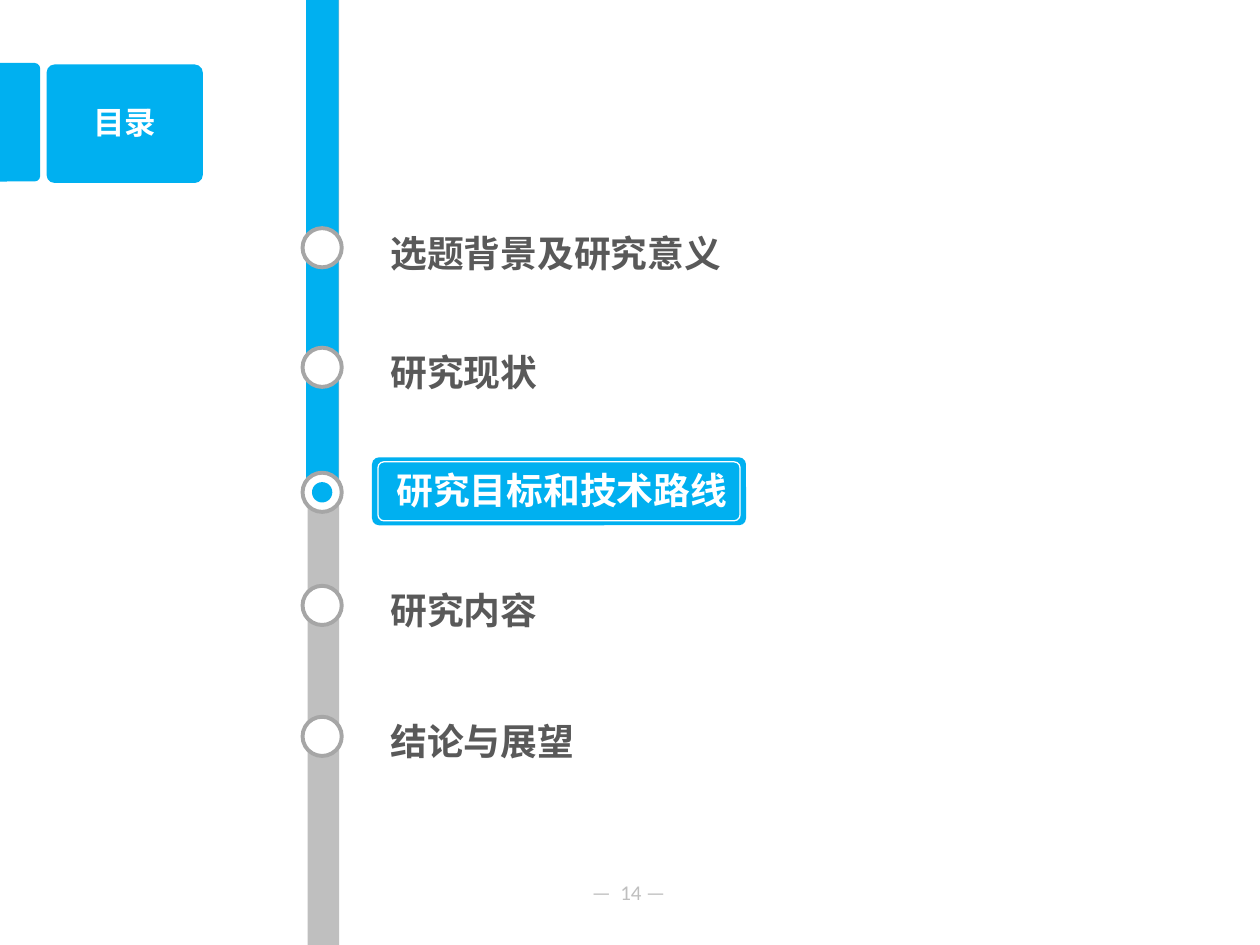
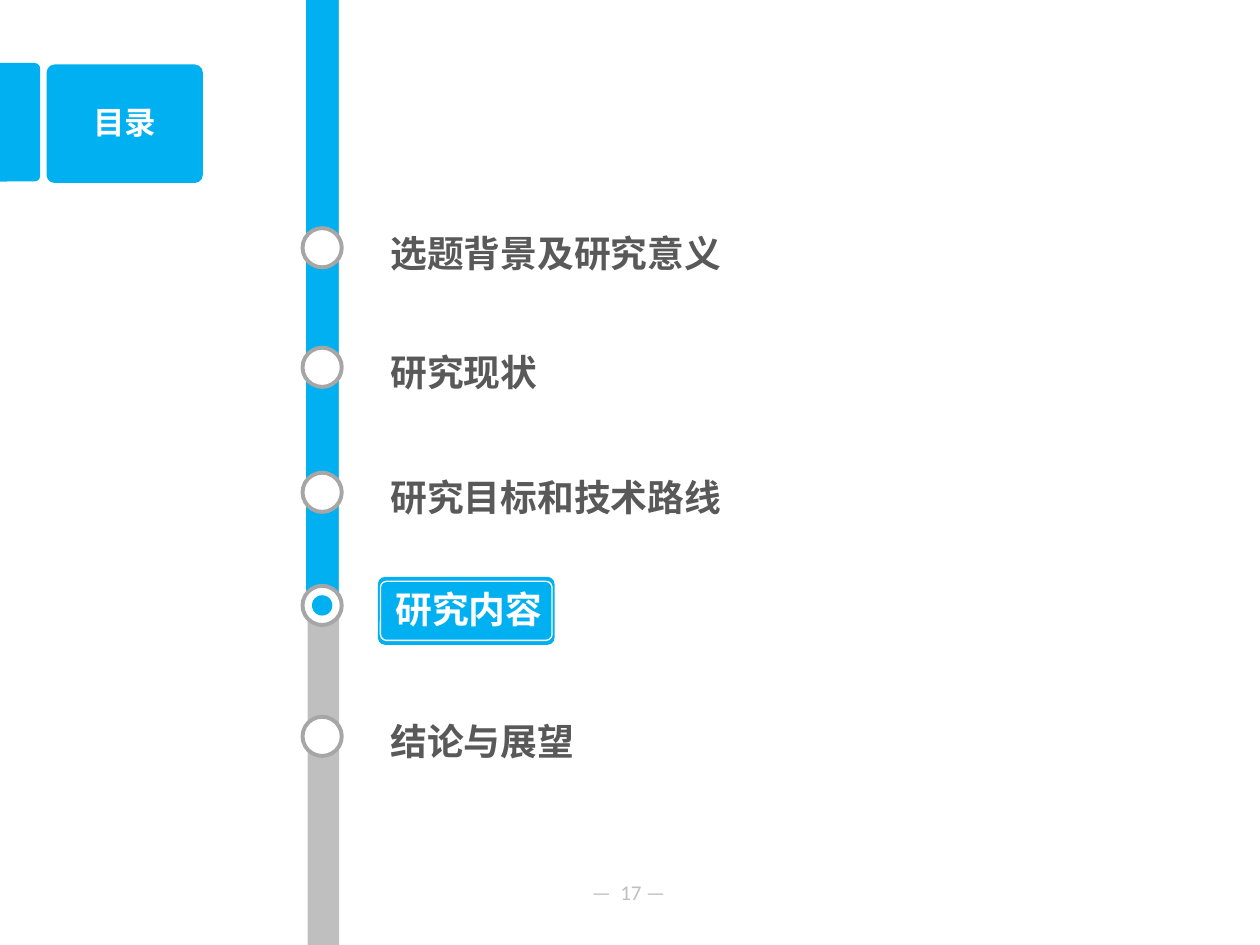
from pptx import Presentation
from pptx import util as u
from pptx.dml.color import RGBColor
from pptx.enum import shapes, text
from pptx.oxml.ns import qn
from lxml import etree

BLUE, WHITE, RAIL, RING, INK = "00B0F0", "FFFFFF", "BFBFBF", "A6A6A6", "595959"
LATIN, HAN = "Calibri", "Noto Sans CJK JP"
KIND = shapes.MSO_SHAPE

HEADING = "目录"
CHAPTERS = [
    ("选题背景及研究意义", 4.6),
    ("研究现状", 7.01),
    ("研究目标和技术路线", 9.53),
    ("研究内容", 11.81),
    ("结论与展望", 14.45),
]
AGENDAS = [
    {"number": "14", "current": 2, "label": (7.5, 9.22, 7.54, 1.37), "inset": 0.12},
    {"number": "17", "current": 3, "label": (7.62, 11.63, 3.56, 1.37), "inset": 0.05},
]
NODE_LEFT, NODE_SIZE = 6.1, 0.79
DOT_SIZE = 0.41


def color(value):
    return RGBColor.from_string(value)


def add_block(page, kind, place, fill, line=None, weight=0, corners=()):
    block = page.shapes.add_shape(kind, *map(u.Cm, place))
    block.shadow.inherit = False
    block.fill.solid()
    block.fill.fore_color.rgb = color(fill)
    if line:
        block.line.color.rgb = color(line)
        block.line.width = u.Pt(weight)
    else:
        block.line.fill.background()
    for index, corner in enumerate(corners):
        block.adjustments[index] = corner
    return block


def add_words(page, place, runs, size, ink, font=HAN, bold=True, align=text.PP_ALIGN.LEFT, wrap=True):
    box = page.shapes.add_textbox(*map(u.Cm, place))
    box.text_frame.word_wrap = wrap
    para = box.text_frame.paragraphs[0]
    para.alignment = align
    for words, spacing in runs:
        span = para.add_run()
        span.text = words
        span.font.name = font
        span.font.size = u.Pt(size)
        span.font.bold = bold
        span.font.color.rgb = color(ink)
        props = span.font._element
        etree.SubElement(props, qn("a:ea")).set("typeface", HAN)
        if spacing:
            props.set("spc", str(spacing))


def add_frame(page, number):
    tab = add_block(page, KIND.ROUND_2_SAME_RECTANGLE, (-0.79, 2.06, 2.39, 0.81), BLUE, corners=(0.14, 0))
    tab.rotation = 90
    add_block(page, KIND.ROUNDED_RECTANGLE, (0.94, 1.3, 3.15, 2.39), BLUE, corners=(0.069,))
    add_words(page, (0.94, 1.96, 3.15, 1.02), [(HEADING, 0)], 18, WHITE, LATIN, align=text.PP_ALIGN.CENTER)
    add_block(page, KIND.RECTANGLE, (6.2, 0, 0.64, 19.05), RAIL)
    add_words(page, (11.68, 17.6, 2.18, 0.76), [("— ", 135), (number + " —", 0)], 12, RAIL, LATIN,
              bold=False, wrap=False)


def add_label(page, title, place, inset):
    left, top, width, height = place
    inner = (left + inset, top + 0.09, width - 2 * inset, height - 0.18)
    add_block(page, KIND.ROUNDED_RECTANGLE, place, BLUE, corners=(0.103,))
    add_block(page, KIND.ROUNDED_RECTANGLE, inner, BLUE, WHITE, 0.75, (0.103,))
    add_words(page, (left + 2 * inset, top + 0.08, width + 4 * inset, 1.14), [(title, 0)], 21, WHITE)


def add_agenda(page, agenda):
    add_frame(page, agenda["number"])
    progress = CHAPTERS[agenda["current"]][1] + 0.45
    add_block(page, KIND.RECTANGLE, (6.17, 0, 0.66, progress), BLUE)
    for index, (title, top) in enumerate(CHAPTERS):
        add_block(page, KIND.OVAL, (NODE_LEFT, top, NODE_SIZE, NODE_SIZE), WHITE, RING, 2.25)
        if index == agenda["current"]:
            gap = (NODE_SIZE - DOT_SIZE) / 2
            add_block(page, KIND.OVAL, (NODE_LEFT + gap, top + gap, DOT_SIZE, DOT_SIZE), BLUE)
            add_label(page, title, agenda["label"], agenda["inset"])
        else:
            add_words(page, (7.62, top - 0.08, 8.13, 1.14), [(title, 0)], 21, INK)


def main():
    deck = Presentation()
    deck.slide_width, deck.slide_height = u.Cm(25.4), u.Cm(19.05)
    for agenda in AGENDAS:
        add_agenda(deck.slides.add_slide(deck.slide_layouts[6]), agenda)
    deck.save("out.pptx")


if __name__ == "__main__":
    main()
